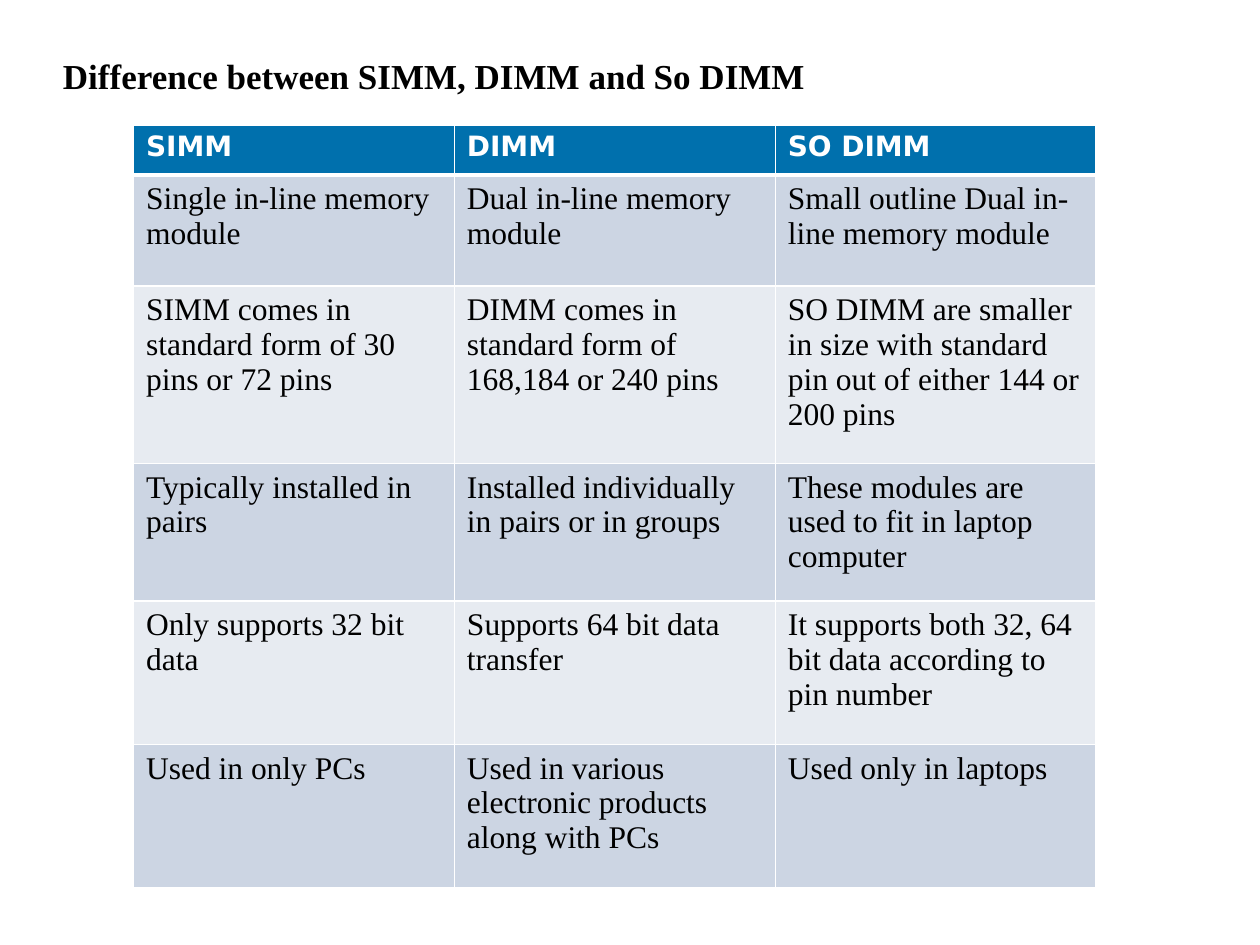
from lxml import etree
from pptx import Presentation
from pptx import util as u
from pptx.dml.color import RGBColor
from pptx.enum import text
from pptx.oxml import ns

SERIF = "Times New Roman"
SANS = "DejaVu Sans"
ROWS = [
    ("SIMM", "DIMM", "SO DIMM"),
    ("Single in-line memory module",
     "Dual in-line memory module",
     "Small outline Dual in-line memory module"),
    ("SIMM comes in standard form of 30 pins or 72 pins",
     "DIMM comes in standard form of 168,184 or 240 pins",
     "SO DIMM are smaller in size with standard pin out of either 144 or 200 pins"),
    ("Typically installed in pairs",
     "Installed individually in pairs or in groups",
     "These modules are used to fit in laptop computer"),
    ("Only supports 32 bit data",
     "Supports 64 bit data transfer",
     "It supports both 32, 64 bit data according to pin number"),
    ("Used in only PCs",
     "Used in various electronic products along with PCs",
     "Used only in laptops"),
]
HEIGHTS = [0.4, 0.88, 1.41, 1.09, 1.14, 1.14]


def color(code):
    return RGBColor.from_string(code)


def add_run(para, words, size, face, ink, bold):
    run = para.add_run()
    run.text = words
    font = run.font
    font.size, font.name, font.bold = u.Pt(size), face, bold
    font.color.rgb = color(ink)


def add_edge(cell, side, width):
    props = cell._tc.get_or_add_tcPr()
    line = etree.SubElement(props, ns.qn("a:" + side), w=str(u.Pt(width)))
    fill = etree.SubElement(line, ns.qn("a:solidFill"))
    etree.SubElement(fill, ns.qn("a:srgbClr"), val="FFFFFF")


def add_title(slide, box):
    shape = slide.shapes.add_textbox(*map(u.Inches, box))
    frame = shape.text_frame
    frame.word_wrap = True
    frame.vertical_anchor = text.MSO_ANCHOR.TOP
    frame.margin_left = frame.margin_right = 0
    frame.margin_top = frame.margin_bottom = 0
    para = frame.paragraphs[0]
    para.line_spacing = u.Pt(22.5)
    add_run(para, "Difference between SIMM, DIMM and So DIMM", 20, SERIF, "000000", True)


def fill_cell(cell, words, row):
    head = row == 0
    style = (16, SANS, "FFFFFF", True) if head else (18, SERIF, "000000", False)
    add_run(cell.text_frame.paragraphs[0], words, *style)
    for side in ("lnL", "lnR", "lnT", "lnB"):
        thick = (head and side == "lnB") or (row == 1 and side == "lnT")
        add_edge(cell, side, 3 if thick else 1)
    cell.fill.solid()
    band = "CCD5E3" if row % 2 else "E7EBF1"
    cell.fill.fore_color.rgb = color("0070AD" if head else band)


def add_grid(slide, box):
    count = len(ROWS[0])
    table = slide.shapes.add_table(len(ROWS), count, *map(u.Inches, box)).table
    for col in table.columns:
        col.width = u.Inches(box[2] / count)
    for row, (line, height) in enumerate(zip(ROWS, HEIGHTS)):
        table.rows[row].height = u.Inches(height)
        for col, words in enumerate(line):
            fill_cell(table.cell(row, col), words, row)


def main():
    deck = Presentation()
    deck.slide_width, deck.slide_height = u.Inches(10), u.Inches(7.5)
    slide = deck.slides.add_slide(deck.slide_layouts[6])
    add_title(slide, (0.5, 0.45, 9.33, 0.94))
    add_grid(slide, (1.06, 0.99, 7.64, sum(HEIGHTS)))
    deck.save("out.pptx")


if __name__ == "__main__":
    main()
